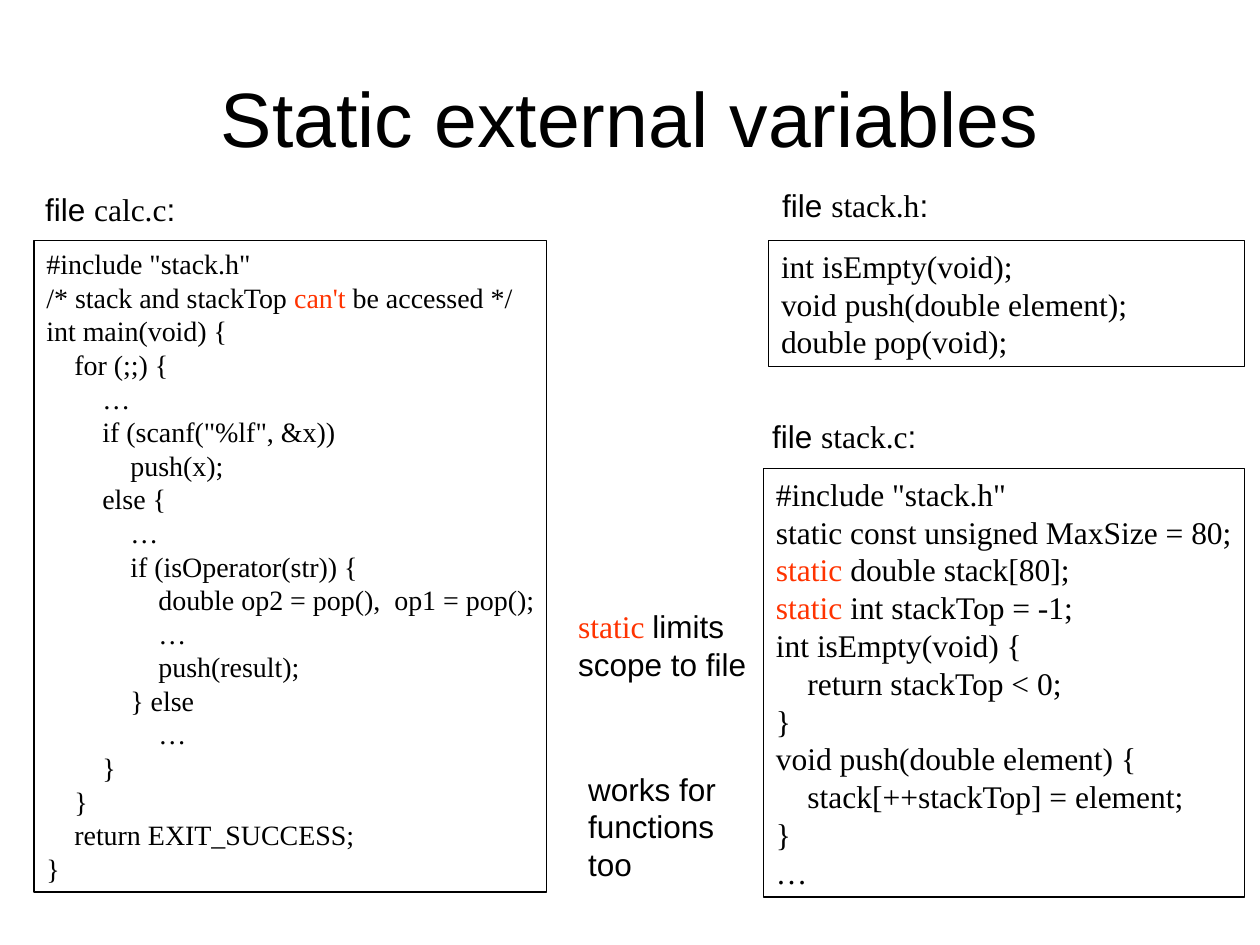
from dataclasses import dataclass

from pptx import Presentation
from pptx import util as u
from pptx.dml.color import RGBColor
from pptx.enum import text


@dataclass(frozen=True)
class Theme:
    ink: str = "000000"
    accent: str = "FF3300"
    sans: str = "Arial"
    serif: str = "Times New Roman"
    title_size: int = 44
    body_size: int = 18
    small_size: int = 16
    border: float = 0.75


THEME = Theme()
STYLES = {  # font and colour of each kind of run
    "plain": (THEME.sans, THEME.ink),
    "code": (THEME.serif, THEME.ink),
    "key": (THEME.serif, THEME.accent),
}

TITLE = "Static external variables"

# A line is (indent level, content); content is code, or a list of (style, text).
CALC_C = [
    (0, '#include "stack.h"'),
    (0, [("code", "/* stack and stackTop "), ("key", "can't"),
         ("code", " be accessed */")]),
    (0, "int main(void) {"),
    (1, "for (;;) {"),
    (2, "…"),
    (2, 'if (scanf("%lf", &x))'),
    (3, "push(x);"),
    (2, "else {"),
    (3, "…"),
    (3, "if (isOperator(str)) {"),
    (4, "double op2 = pop(),  op1 = pop();"),
    (4, "…"),
    (4, "push(result);"),
    (3, "} else"),
    (4, "…"),
    (2, "}"),
    (1, "}"),
    (1, "return EXIT_SUCCESS;"),
    (0, "}"),
]
STACK_H = [
    (0, "int isEmpty(void);"),
    (0, "void push(double element);"),
    (0, "double pop(void);"),
]
STACK_C = [
    (0, '#include "stack.h"'),
    (0, "static const unsigned MaxSize = 80;"),
    (0, [("key", "static"), ("code", " double stack[80];")]),
    (0, [("key", "static"), ("code", " int stackTop = -1;")]),
    (0, "int isEmpty(void) {"),
    (1, "return stackTop < 0;"),
    (0, "}"),
    (0, "void push(double element) {"),
    (1, "stack[++stackTop] = element;"),
    (0, "}"),
    (0, "…"),
]

# file name, label box, code box (left, top, width, height), code, size
FILES = [
    ("calc.c", (0.26, 1.46, 1.3, 0.4), (0.27, 1.91, 4.07, 5.17),
     CALC_C, THEME.small_size),
    ("stack.h", (6.11, 1.43, 1.42, 0.4), (6.1, 1.91, 3.78, 1),
     STACK_H, THEME.body_size),
    ("stack.c", (6.03, 3.26, 1.42, 0.4), (6.06, 3.72, 3.82, 3.4),
     STACK_C, THEME.body_size),
]
NOTES = [
    ((4.49, 4.77, 1.6, 0.7),
     [(0, [("key", "static "), ("plain", "limits")]),
      (0, [("plain", "scope to file")])]),
    ((4.57, 6.06, 1.3, 1),
     [(0, [("plain", line)]) for line in ("works for", "functions", "too")]),
]


def place(shape, box):
    shape.left, shape.top, shape.width, shape.height = map(u.Inches, box)


def write(frame, lines, size=THEME.body_size, align=text.PP_ALIGN.LEFT):
    """Fill the frame; one indent level is one em, as wide as four spaces."""
    for number, (level, content) in enumerate(lines):
        paragraph = frame.add_paragraph() if number else frame.paragraphs[0]
        paragraph.alignment = align
        if level:
            properties = paragraph._p.get_or_add_pPr()
            properties.set("marL", str(u.Pt(level * size)))
            properties.set("indent", "0")
        runs = [("code", content)] if isinstance(content, str) else content
        for style, words in runs:
            run = paragraph.add_run()
            run.text = words
            name, colour = STYLES[style]
            run.font.name = name
            run.font.size = u.Pt(size)
            run.font.color.rgb = RGBColor.from_string(colour)


def add_text(slide, box, lines, size=THEME.body_size, framed=False):
    shape = slide.shapes.add_textbox(0, 0, 0, 0)
    place(shape, box)
    shape.text_frame.word_wrap = False
    shape.text_frame.auto_size = text.MSO_AUTO_SIZE.NONE if not framed \
        else text.MSO_AUTO_SIZE.SHAPE_TO_FIT_TEXT
    # Unframed boxes keep their width, so their lines start at the left inset.
    shape.text_frame.word_wrap = not framed
    write(shape.text_frame, lines, size=size)
    if framed:
        shape.line.color.rgb = RGBColor.from_string(THEME.ink)
        shape.line.width = u.Pt(THEME.border)


def main():
    presentation = Presentation()
    presentation.slide_width = u.Inches(10)
    presentation.slide_height = u.Inches(7.5)
    slide = presentation.slides.add_slide(presentation.slide_layouts[5])

    title = slide.shapes.title
    place(title, (0.5, 0.3, 9, 1.25))
    title.text_frame.vertical_anchor = text.MSO_ANCHOR.MIDDLE
    write(title.text_frame, [(0, [("plain", TITLE)])],
          size=THEME.title_size, align=text.PP_ALIGN.CENTER)

    for name, label_box, code_box, code, size in FILES:
        add_text(slide, code_box, code, size=size, framed=True)
        label = [("plain", "file "), ("code", name), ("plain", ":")]
        add_text(slide, label_box, [(0, label)])
    for box, lines in NOTES:
        add_text(slide, box, lines)

    presentation.save("out.pptx")


if __name__ == "__main__":
    main()
